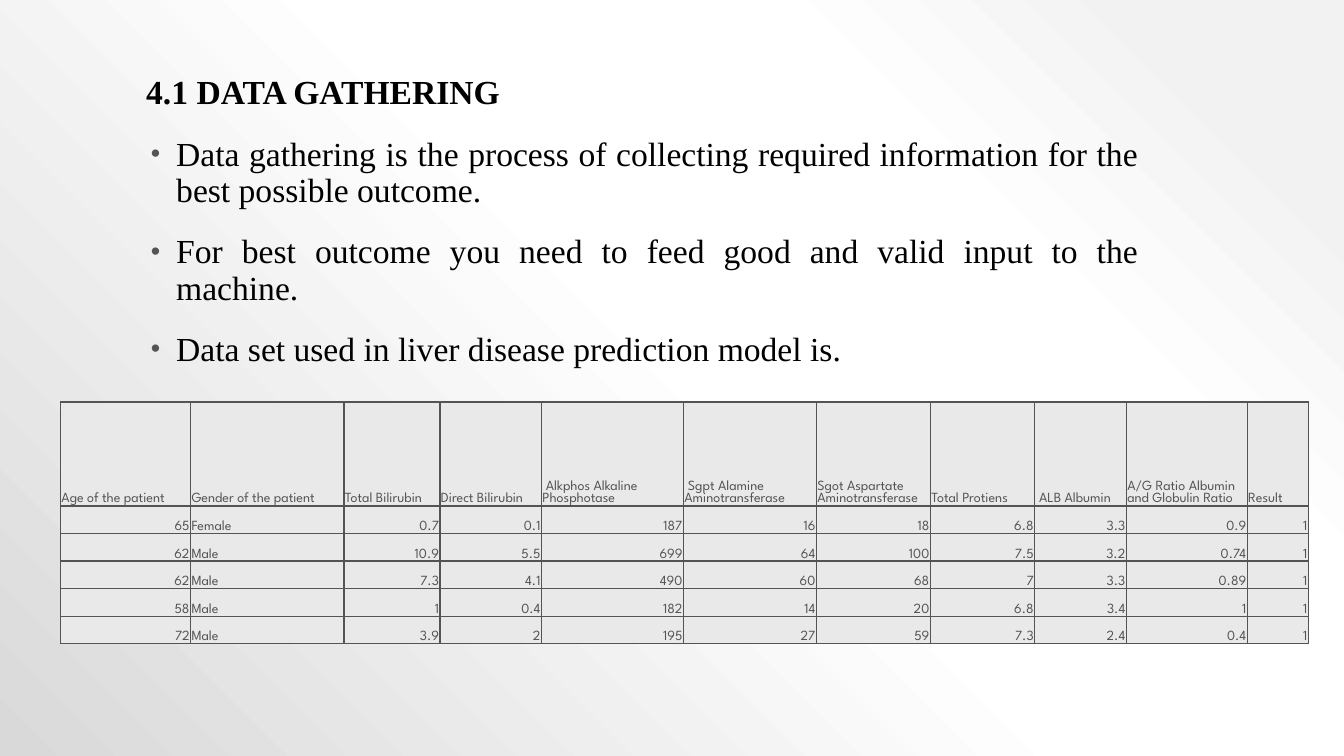
from dataclasses import dataclass

import lxml.etree
import pptx
import pptx.dml.color
import pptx.enum.text
import pptx.oxml
import pptx.oxml.ns
import pptx.util

Pt = pptx.util.Pt
ALIGN = pptx.enum.text.PP_ALIGN
ANCHOR = pptx.enum.text.MSO_ANCHOR
qn = pptx.oxml.ns.qn


@dataclass(frozen=True)
class Theme:
    ink: str = "000000"
    muted: str = "545454"
    cell: str = "E9E9E9"
    backdrop: tuple = ((10, "F2F2F2"), (28, "FFFFFF"), (48, "FFFFFF"), (100, "D9D9D9"))
    serif: str = "Times New Roman"
    sans: str = "League Spartan"
    reading_size: int = 24
    table_size: int = 10


THEME = Theme()

HEADING = "4.1 DATA GATHERING"
POINTS = [
    "Data gathering is the process of collecting required information for the best possible outcome.",
    "For best outcome you need to feed good and valid input to the machine.",
    "Data set used in liver disease prediction model is.",
]
# Column headings with their widths in points
COLUMNS = [
    ("Age of the patient", 92.9),
    ("Gender of the patient", 109.6),
    ("Total Bilirubin", 68.6),
    ("Direct Bilirubin", 72.5),
    (" Alkphos Alkaline Phosphotase", 101.4),
    (" Sgpt Alamine Aminotransferase", 95),
    ("Sgot Aspartate Aminotransferase", 81.4),
    ("Total Protiens", 74.6),
    (" ALB Albumin", 65.4),
    ("A/G Ratio Albumin and Globulin Ratio", 86.4),
    ("Result", 43.6),
]
PATIENTS = [
    (65, "Female", 0.7, 0.1, 187, 16, 18, 6.8, 3.3, 0.9, 1),
    (62, "Male", 10.9, 5.5, 699, 64, 100, 7.5, 3.2, 0.74, 1),
    (62, "Male", 7.3, 4.1, 490, 60, 68, 7, 3.3, 0.89, 1),
    (58, "Male", 1, 0.4, 182, 14, 20, 6.8, 3.4, 1, 1),
    (72, "Male", 3.9, 2, 195, 27, 59, 7.3, 2.4, 0.4, 1),
]


def add_run(paragraph, text, font, size, color, bold=False):
    run = paragraph.add_run()
    run.text = text
    run.font.name = font
    run.font.size = Pt(size)
    run.font.bold = bold
    run.font.color.rgb = pptx.dml.color.RGBColor.from_string(color)


def append_color(parent, color):
    return lxml.etree.SubElement(parent, qn("a:srgbClr"), val=color)


def paint_backdrop(slide):
    """Radial gradient that spreads from the top right corner."""
    slide.background.fill.solid()
    solid = slide.element.find(".//" + qn("a:solidFill"))
    gradient = pptx.oxml.parse_xml(
        f'<a:gradFill {pptx.oxml.ns.nsdecls("a")} rotWithShape="1"><a:gsLst/>'
        '<a:path path="circle"><a:fillToRect l="100000" b="100000"/></a:path></a:gradFill>')
    for position, color in THEME.backdrop:
        stop = lxml.etree.SubElement(gradient[0], qn("a:gs"), pos=str(position * 1000))
        append_color(stop, color)
    solid.getparent().replace(solid, gradient)


def place_heading(slide, left, top, width, height):
    heading = slide.shapes.title
    heading.left, heading.top, heading.width, heading.height = map(Pt, (left, top, width, height))
    frame = heading.text_frame
    frame.vertical_anchor = ANCHOR.BOTTOM
    paragraph = frame.paragraphs[0]
    paragraph.alignment = ALIGN.LEFT
    paragraph.line_spacing = 0.9
    add_run(paragraph, HEADING, THEME.serif, THEME.reading_size, THEME.ink, bold=True)


def add_bullet(paragraph):
    properties = paragraph._p.get_or_add_pPr()
    properties.set("marL", str(Pt(21.6)))
    properties.set("indent", str(Pt(-18)))
    append_color(lxml.etree.SubElement(properties, qn("a:buClr")), THEME.muted)
    lxml.etree.SubElement(properties, qn("a:buSzPct"), val="80000")
    lxml.etree.SubElement(properties, qn("a:buFont"), typeface="Arial")
    lxml.etree.SubElement(properties, qn("a:buChar"), char="•")


def place_points(slide, left, top, width, height):
    frame = slide.shapes.add_textbox(*map(Pt, (left, top, width, height))).text_frame
    frame.word_wrap = True
    for index, point in enumerate(POINTS):
        paragraph = frame.add_paragraph() if index else frame.paragraphs[0]
        paragraph.alignment = ALIGN.JUSTIFY
        paragraph.line_spacing = 0.9
        paragraph.space_before = Pt(18)
        add_bullet(paragraph)
        add_run(paragraph, point, THEME.serif, THEME.reading_size, THEME.ink)


def fill_cell(cell, value):
    cell.margin_left = cell.margin_right = cell.margin_top = Pt(0.72)
    cell.margin_bottom = Pt(0)
    cell.vertical_anchor = ANCHOR.BOTTOM
    paragraph = cell.text_frame.paragraphs[0]
    paragraph.alignment = ALIGN.LEFT if isinstance(value, str) else ALIGN.RIGHT
    add_run(paragraph, str(value), THEME.sans, THEME.table_size, THEME.muted)
    # Borders come before the fill in the cell properties
    properties = cell._tc.get_or_add_tcPr()
    for side in ("a:lnL", "a:lnR", "a:lnT", "a:lnB"):
        border = lxml.etree.SubElement(properties, qn(side), w=str(Pt(1)))
        append_color(lxml.etree.SubElement(border, qn("a:solidFill")), THEME.muted)
    cell.fill.solid()
    cell.fill.fore_color.rgb = pptx.dml.color.RGBColor.from_string(THEME.cell)


def place_patient_table(slide, left, top, width, height):
    header_height = 74.2
    row_height = (height - header_height) / len(PATIENTS)
    records = [[name for name, _ in COLUMNS], *PATIENTS]
    table = slide.shapes.add_table(
        len(records), len(COLUMNS), *map(Pt, (left, top, width, height))).table
    table.first_row = table.horz_banding = False
    for column, (_, column_width) in zip(table.columns, COLUMNS):
        column.width = Pt(column_width)
    for index, (row, record) in enumerate(zip(table.rows, records)):
        row.height = Pt(row_height if index else header_height)
        for cell, value in zip(row.cells, record):
            fill_cell(cell, value)


def build_data_gathering(deck):
    slide = deck.slides.add_slide(deck.slide_layouts[5])
    paint_backdrop(slide)
    place_heading(slide, 97.2, 2.2, 768, 81.4)
    place_points(slide, 97.2, 94.3, 723, 238.3)
    place_patient_table(slide, 43.2, 287.2, 891.4, 172.7)


def main():
    deck = pptx.Presentation()
    deck.slide_width, deck.slide_height = Pt(960), Pt(540)
    build_data_gathering(deck)
    deck.save("out.pptx")


if __name__ == "__main__":
    main()
